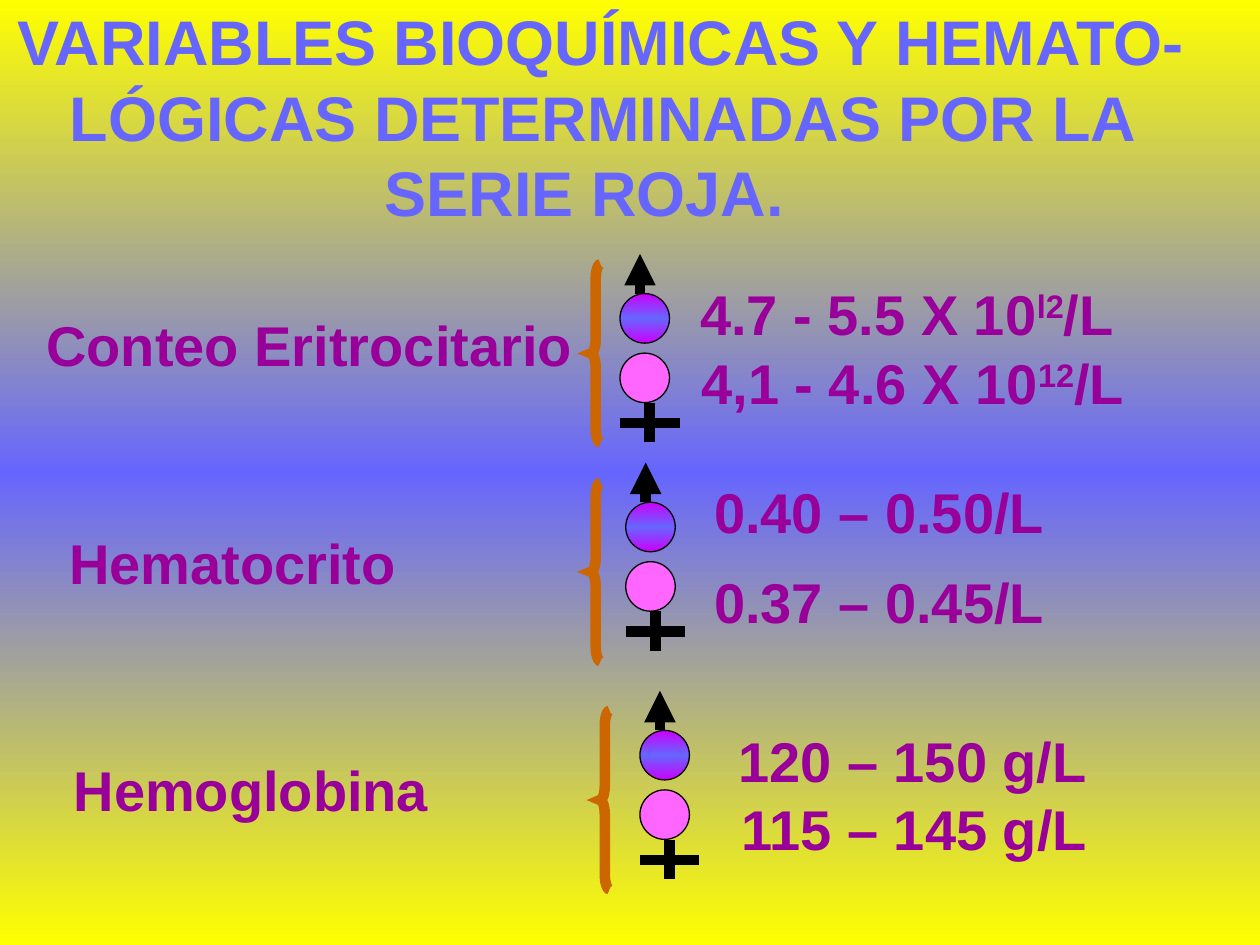
"""Build the slide of red-series blood variables with male and female ranges."""
import pptx
import pptx.util
import pptx.dml.color
import pptx.enum.dml
import pptx.enum.shapes
import pptx.enum.text
import pptx.oxml
import pptx.oxml.ns

Pt = pptx.util.Pt
SHAPES = pptx.enum.shapes.MSO_SHAPE

COLORS = {"yellow": "FFFF00", "blue": "6666FF", "text": "990099", "male": "CC00FF",
          "female": "FF66FF", "brace": "CC6600", "black": "000000"}

TITLE = [("VARIABLES BIOQUÍMICAS Y HEMATO-", 0),
         ("LÓGICAS DETERMINADAS POR LA", 30),
         ("SERIE ROJA.", 210)]
TITLE_BOX = (2.9, -2, 688.3, 136.8)

VARIABLES = [
    {"label": ("Conteo Eritrocitario", 19.4, 173.8, 316),
     "brace": (337.7, 151), "symbols": (354.3, 167.8),
     "ranges": [(("4.7 - 5.5 X 10", "l2", "/L"), 393.1, 156.2, 252),
                (("4,1 - 4.6 X 10", "12", "/L"), 393.8, 195.8, 257)]},
    {"label": ("Hematocrito", 32.4, 298.4, 204),
     "brace": (337.7, 275.8), "symbols": (357.6, 287),
     "ranges": [(("0.40 – 0.50/L",), 401, 269.3, 204),
                (("0.37 – 0.45/L",), 401, 320.7, 204)]},
    {"label": ("Hemoglobina", 35, 428, 219),
     "brace": (342.9, 406.2), "symbols": (365.7, 417.4),
     "ranges": [(("120 – 150 g/L",), 414.7, 411.8, 215),
                (("115 – 145 g/L",), 416.6, 450.7, 215)]},
]

LINE_HEIGHT = 46.1
BRACE_SIZE = (5.4, 102)
CIRCLE = 28.3
FEMALE_DROP = 34
STROKES = [((11.4, 0), (11.4, -22.7), True),
           ((17, 62.4), (17, 85), False),
           ((0, 74), (34, 74), False)]


def color(name):
    return pptx.dml.color.RGBColor.from_string(COLORS[name])


def drawing_element(tag, attributes=""):
    return pptx.oxml.parse_xml(f'<a:{tag} {pptx.oxml.ns.nsdecls("a")} {attributes}/>')


def fill_gradient(fill, edge, middle):
    fill.gradient()
    fill.gradient_angle = 270
    stops = fill._fill._gradFill.find(pptx.oxml.ns.qn("a:gsLst"))
    for stop in list(stops):
        stops.remove(stop)
    for position, name in ((0, edge), (50000, middle), (100000, edge)):
        stop = drawing_element("gs", f'pos="{position}"')
        stop.append(drawing_element("srgbClr", f'val="{COLORS[name]}"'))
        stops.append(stop)


def set_line(shape, name, width):
    shape.line.color.rgb = color(name)
    shape.line.width = Pt(width)
    return shape._element.spPr.find(pptx.oxml.ns.qn("a:ln"))


def add_text(slide, box, lines, size, name):
    frame = slide.shapes.add_textbox(*map(Pt, box)).text_frame
    frame.word_wrap = False
    frame.auto_size = pptx.enum.text.MSO_AUTO_SIZE.SHAPE_TO_FIT_TEXT
    style = {"name": "Arial", "size": Pt(size), "bold": True}
    for index, (parts, indent) in enumerate(lines):
        paragraph = frame.add_paragraph() if index else frame.paragraphs[0]
        if indent:
            paragraph._p.get_or_add_pPr().set("marL", str(Pt(indent)))
        for number, part in enumerate(parts):
            run = paragraph.add_run()
            run.text = part
            for attribute, value in style.items():
                setattr(run.font, attribute, value)
            run.font.color.rgb = color(name)
            if number == 1:
                run.font._element.set("baseline", "30000")


def add_circle(slide, left, top):
    circle = slide.shapes.add_shape(SHAPES.FLOWCHART_CONNECTOR,
                                    Pt(left), Pt(top), Pt(CIRCLE), Pt(CIRCLE))
    circle.shadow.inherit = False
    set_line(circle, "black", 0.75)
    return circle


def add_stroke(slide, start, end, arrow):
    stroke = slide.shapes.add_connector(pptx.enum.shapes.MSO_CONNECTOR.STRAIGHT,
                                        *map(Pt, start + end))
    outline = set_line(stroke, "black", 6)
    if arrow:
        outline.append(drawing_element("tailEnd", 'type="triangle"'))
    stroke._element.spPr.append(drawing_element("effectLst"))


def add_symbols(slide, left, top):
    fill_gradient(add_circle(slide, left, top).fill, "male", "blue")
    female = add_circle(slide, left, top + FEMALE_DROP)
    female.fill.solid()
    female.fill.fore_color.rgb = color("female")
    for start, end, arrow in STROKES:
        add_stroke(slide, (left + start[0], top + start[1]),
                   (left + end[0], top + end[1]), arrow)


def add_brace(slide, left, top):
    brace = slide.shapes.add_shape(SHAPES.LEFT_BRACE, Pt(left), Pt(top), *map(Pt, BRACE_SIZE))
    brace.shadow.inherit = False
    brace.adjustments[0] = 1.55
    brace.fill.background()
    set_line(brace, "brace", 6).append(drawing_element("miter", 'lim="800000"'))


def main():
    presentation = pptx.Presentation()
    presentation.slide_width, presentation.slide_height = Pt(720), Pt(540)
    slide = presentation.slides.add_slide(presentation.slide_layouts[6])
    fill_gradient(slide.background.fill, "yellow", "blue")
    for variable in VARIABLES:
        label, left, top, width = variable["label"]
        texts = [((label,), left, top, width)] + variable["ranges"]
        for parts, left, top, width in texts:
            add_text(slide, (left, top, width, LINE_HEIGHT), [(parts, 0)], 32, "text")
        add_symbols(slide, *variable["symbols"])
        add_brace(slide, *variable["brace"])
    add_text(slide, TITLE_BOX, [((text,), indent) for text, indent in TITLE], 36, "blue")
    presentation.save("out.pptx")


if __name__ == "__main__":
    main()
